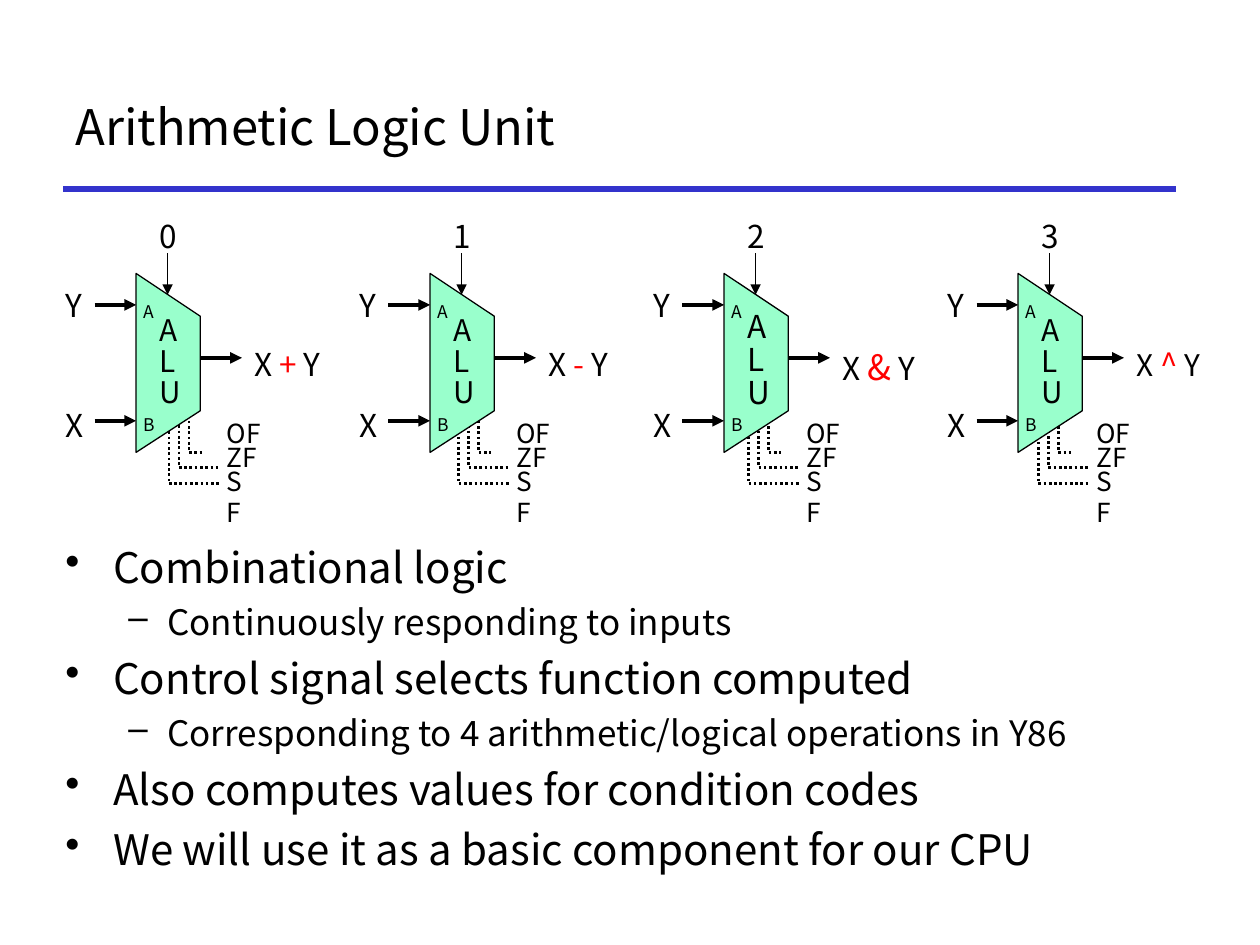
from lxml.etree import SubElement
from pptx import Presentation
from pptx.dml.color import RGBColor
from pptx.enum.dml import MSO_LINE
from pptx.enum.shapes import MSO_CONNECTOR
from pptx.enum.text import MSO_ANCHOR, MSO_AUTO_SIZE, PP_ALIGN
from pptx.oxml.ns import qn
from pptx.util import Inches, Pt

FONT = "Noto Sans CJK KR"
COLORS = {"text": "000000", "rule": "3333CC", "alu": "99FFCC", "operator": "FF0000"}

TITLE = "Arithmetic Logic Unit"

# Control value, operator, operator size, operand size, size of the ALU letters, their top
UNITS = [
    ("0", "+", 18, 18, 17, 2.5),
    ("1", "-", 18, 18, 17, 2.5),
    ("2", "&", 20, 18, 18, 2.47),
    ("3", "^", 18, 17, 17, 2.5),
]
UNIT_PITCH = 7 / 3
FLAG_PITCH = 2.3

# Label, label width, wire left, wire top, wire right, label top
FLAGS = [
    ("OF", 0.4, 1.5, 3.09, 1.6, 3.26),
    ("ZF", 0.38, 1.42, 3.21, 1.75, 3.45),
    ("SF", 0.33, 1.34, 3.34, 1.75, 3.64),
]
FLAG_DROP = 0.5

# Outline of the first unit
ALU_OUTLINE = [(1.08, 2.17), (1.59, 2.51), (1.59, 3.26), (1.08, 3.59)]

# Start, end and width of the arrows of the first unit
ARROWS = [
    ((0.75, 2.42), (1.08, 2.42), 2.25),
    ((1.33, 2.01), (1.33, 2.34), 0.75),
    ((0.75, 3.34), (1.08, 3.34), 2.25),
    ((1.59, 2.84), (1.92, 2.84), 2.25),
]

# Text, left, top, width, height and size of the labels of the first unit
LABELS = [
    ("Y", 0.42, 2.22, 0.4, 0.41, 18),
    ("X", 0.42, 3.17, 0.41, 0.41, 18),
    ("A", 1.04, 2.34, 0.32, 0.27, 10),
    ("B", 1.04, 3.24, 0.3, 0.27, 10),
]

# Level and text
BULLETS = [
    (0, "Combinational logic"),
    (1, "Continuously responding to inputs"),
    (0, "Control signal selects function computed"),
    (1, "Corresponding to 4 arithmetic/logical operations in Y86"),
    (0, "Also computes values for condition codes"),
    (0, "We will use it as a basic component for our CPU"),
]
# Bullet, left margin, hanging indent and size by level
LEVELS = [("•", 0.38, 0.38, 24), ("–", 0.81, 0.31, 20)]


def color(name):
    return RGBColor.from_string(COLORS[name])


def style(font, size, color_name="text"):
    font.name = FONT
    font.size = Pt(size)
    font.color.rgb = color(color_name)


def add_line(slide, start, end, width, color_name="text", arrow=False):
    points = [Inches(value) for value in (*start, *end)]
    connector = slide.shapes.add_connector(MSO_CONNECTOR.STRAIGHT, *points)
    connector.line.color.rgb = color(color_name)
    connector.line.width = Pt(width)
    if arrow:
        SubElement(connector.line._get_or_add_ln(), qn("a:tailEnd"), type="triangle")
    SubElement(connector._element.spPr, qn("a:effectLst"))


def add_outline(slide, points, width, closed):
    corners = [(Inches(x), Inches(y)) for x, y in points]
    builder = slide.shapes.build_freeform(*corners[0])
    builder.add_line_segments(corners[1:], close=closed)
    shape = builder.convert_to_shape()
    shape.shadow.inherit = False
    shape.line.color.rgb = color("text")
    shape.line.width = Pt(width)
    return shape


def add_label(slide, lines, left, top, width, height, size, side=0.1, wrap=False):
    box = slide.shapes.add_textbox(*map(Inches, (left, top, width, height)))
    frame = box.text_frame
    frame.margin_left = frame.margin_right = Inches(side)
    frame.word_wrap = wrap
    frame.auto_size = MSO_AUTO_SIZE.SHAPE_TO_FIT_TEXT
    frame.text = lines
    for paragraph in frame.paragraphs:
        style(paragraph.font, size)
    return frame


def add_flags(slide, shift):
    for name, width, left, top, right, label_top in FLAGS:
        bottom = top + FLAG_DROP
        points = [(left + shift, top), (left + shift, bottom), (right + shift, bottom)]
        wire = add_outline(slide, points, 1.5, closed=False)
        wire.fill.background()
        wire.line.dash_style = MSO_LINE.ROUND_DOT
        # The narrow SF box breaks its label over two lines
        add_label(slide, name, 1.75 + shift, label_top, width, 0.36, 15,
                  side=0.05, wrap=name == "SF")


def add_unit(slide, shift, unit):
    control, operator, operator_size, operand_size, letter_size, letter_top = unit

    for (x1, y1), (x2, y2), width in ARROWS:
        add_line(slide, (x1 + shift, y1), (x2 + shift, y2), width, arrow=True)

    alu = add_outline(slide, [(x + shift, y) for x, y in ALU_OUTLINE], 0.75, closed=True)
    alu.fill.solid()
    alu.fill.fore_color.rgb = color("alu")

    letters = add_label(slide, "A\nL\nU", 1.17 + shift, letter_top, 0.42, 0.83,
                        letter_size, wrap=True)
    for index, paragraph in enumerate(letters.paragraphs):
        paragraph.line_spacing = 0.7
        if index:
            paragraph.space_before = Pt(letter_size * 0.2)

    for text, left, top, width, height, size in LABELS:
        add_label(slide, text, left + shift, top, width, height, size)
    add_label(slide, control, 1.17 + shift, 1.67, 0.35, 0.41, 18)

    result = add_label(slide, "", 1.92 + shift, 2.69, 0.91, 0.41, operand_size)
    for text, size, color_name in (("X ", operand_size, "text"),
                                   (operator, operator_size, "operator"),
                                   (" Y", operand_size, "text")):
        run = result.paragraphs[0].add_run()
        run.text = text
        style(run.font, size, color_name)


def add_bullets(slide):
    box = slide.shapes.add_textbox(Inches(0.42), Inches(4.17), Inches(8.64), Inches(3))
    frame = box.text_frame
    frame.word_wrap = True
    frame.text = "\n".join(text for _, text in BULLETS)
    for paragraph, (level, _) in zip(frame.paragraphs, BULLETS):
        bullet, margin, hanging, size = LEVELS[level]
        paragraph.level = level
        paragraph.line_spacing = 1.2
        properties = paragraph._p.get_or_add_pPr()
        properties.set("marL", str(Inches(margin)))
        properties.set("indent", str(-Inches(hanging)))
        SubElement(properties, qn("a:buChar"), char=bullet)
        style(paragraph.font, size)


def main():
    presentation = Presentation()
    presentation.slide_width = Inches(10)
    presentation.slide_height = Inches(7.5)
    slide = presentation.slides.add_slide(presentation.slide_layouts[5])

    # Title and rule
    title = slide.shapes.title
    title.left, title.top, title.width, title.height = map(Inches, (0.5, 0.5, 8.83, 1))
    title.text_frame.text = TITLE
    title.text_frame.vertical_anchor = MSO_ANCHOR.MIDDLE
    title.text_frame.paragraphs[0].alignment = PP_ALIGN.LEFT
    style(title.text_frame.paragraphs[0].runs[0].font, 28)
    add_line(slide, (0.5, 1.5), (9.33, 1.5), 3, "rule")

    # Flag wires lie behind the units
    for index in range(len(UNITS)):
        add_flags(slide, index * FLAG_PITCH)
    for index, unit in enumerate(UNITS):
        add_unit(slide, index * UNIT_PITCH, unit)

    add_bullets(slide)
    presentation.save("out.pptx")


if __name__ == "__main__":
    main()
